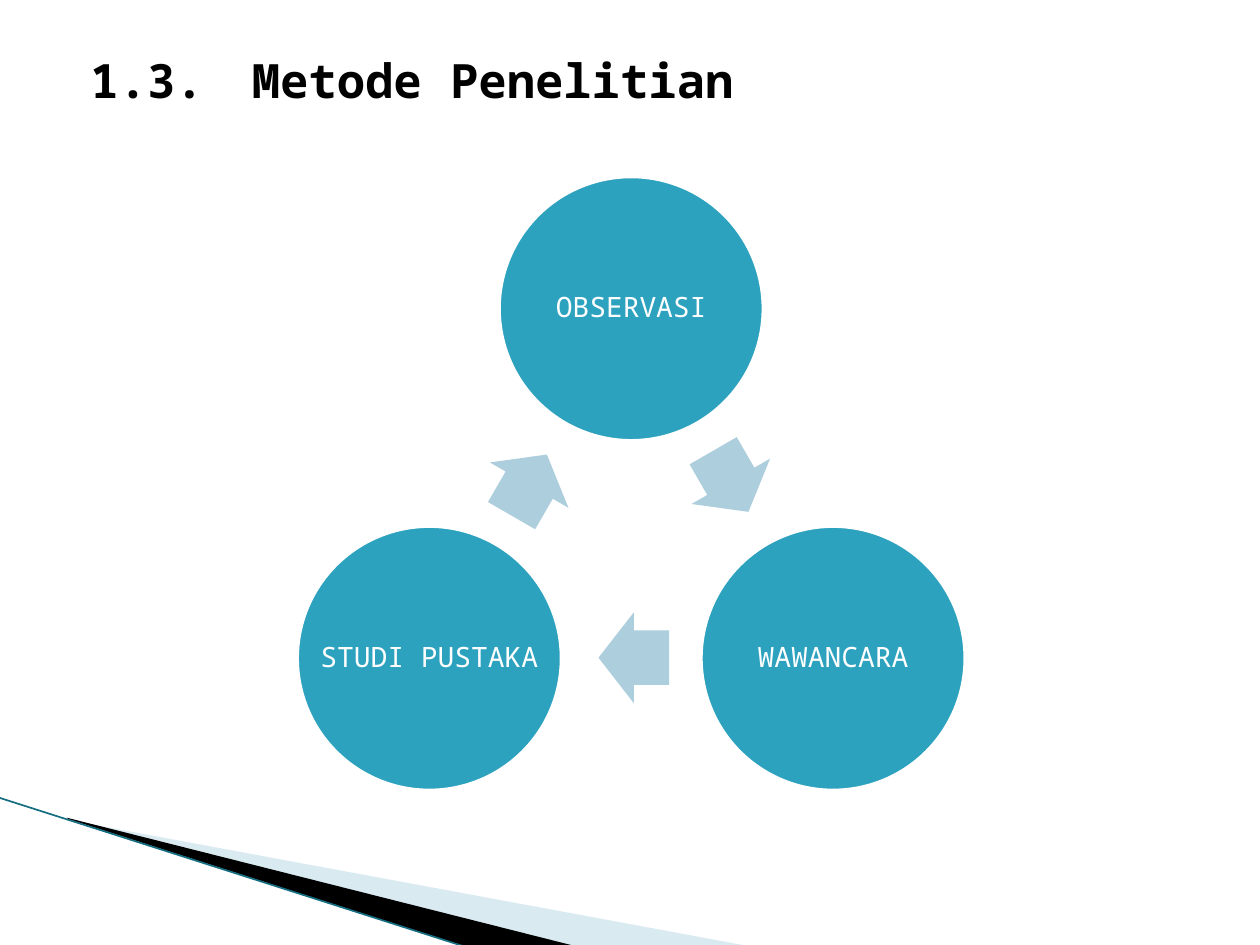
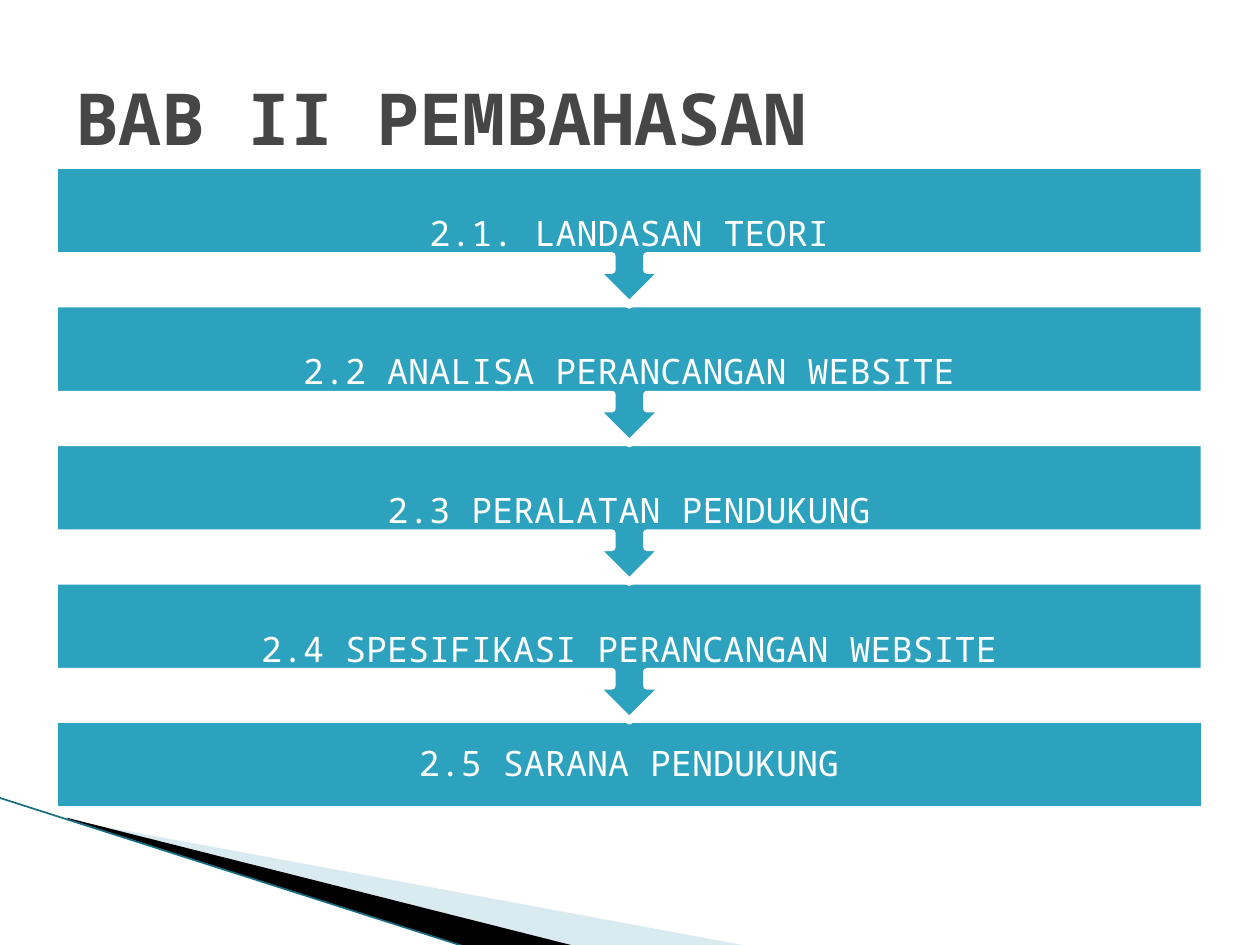
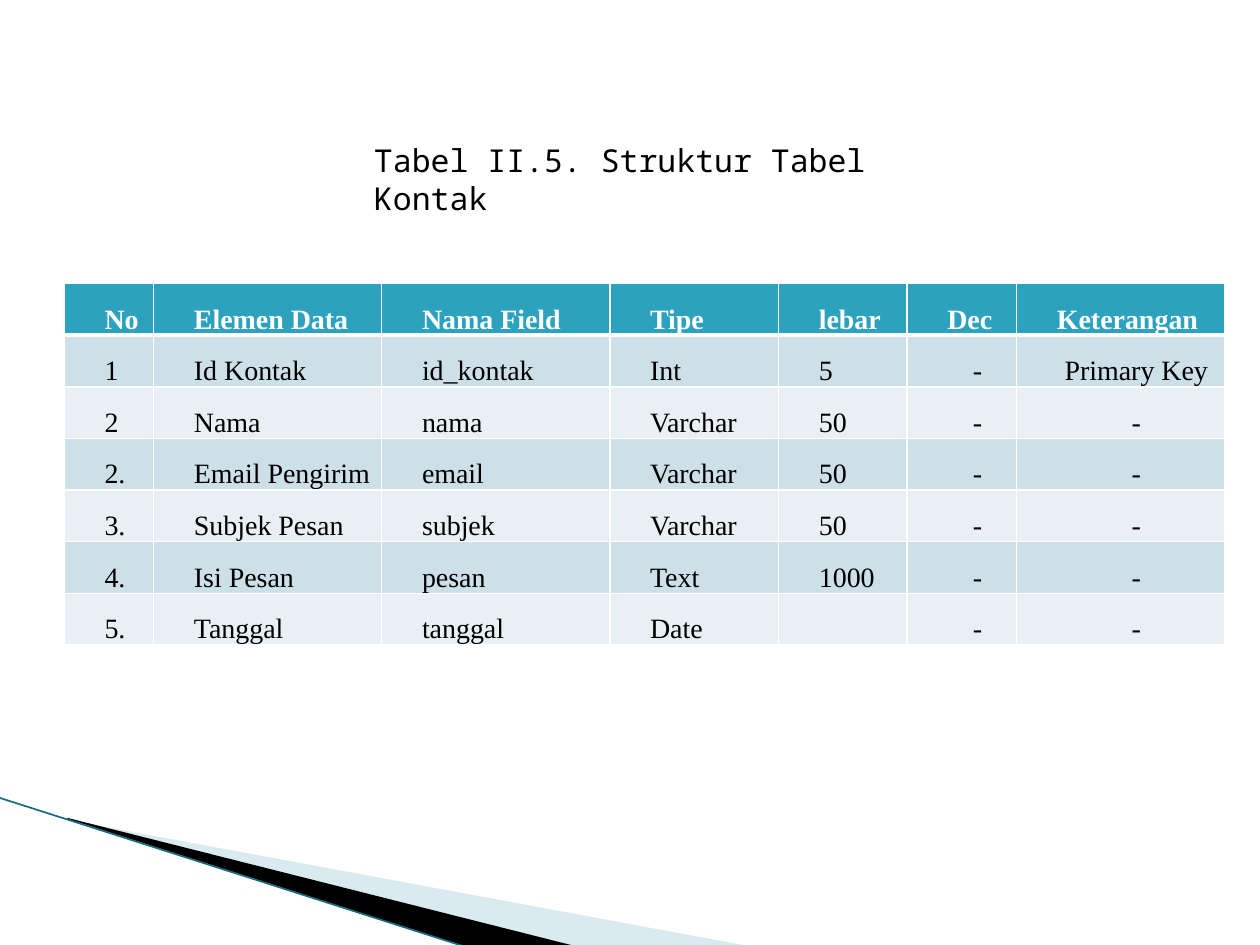
import math

import pptx
import pptx.dml.color
import pptx.enum.shapes
import pptx.enum.text
import pptx.oxml.ns
import pptx.oxml.xmlchemy
import pptx.util
from lxml import etree

Inches = pptx.util.Inches
Pt = pptx.util.Pt
SHAPES = pptx.enum.shapes.MSO_SHAPE
ALIGN = pptx.enum.text.PP_ALIGN
ANCHOR = pptx.enum.text.MSO_ANCHOR
qn = pptx.oxml.ns.qn

MONO = "Noto Sans Mono"
SERIF = "Times New Roman"
TEAL = "2DA2BF"
PALE_TEAL = "ADCEDC"
SWOOSH = "A0CBDC"
SWOOSH_LINE = "146D80"
WHITE = "FFFFFF"
BLACK = "000000"
TITLE_GRAY = "464646"
BAND_FILLS = ["CDE0E8", "E8F0F4"]

METHODS = ["OBSERVASI", "WAWANCARA", "STUDI PUSTAKA"]
TOPICS = [
    "2.1. LANDASAN TEORI",
    "2.2 ANALISA PERANCANGAN WEBSITE",
    "2.3 PERALATAN PENDUKUNG",
    "2.4 SPESIFIKASI PERANCANGAN WEBSITE",
    "2.5 SARANA PENDUKUNG",
]
CONTACT_ROWS = [
    ["No", "Elemen Data", "Nama Field", "Tipe", "lebar", "Dec", "Keterangan"],
    ["1", "Id Kontak", "id_kontak", "Int", "5", "-", "Primary Key"],
    ["2", "Nama", "nama", "Varchar", "50", "-", "-"],
    ["2.", "Email Pengirim", "email", "Varchar", "50", "-", "-"],
    ["3.", "Subjek Pesan", "subjek", "Varchar", "50", "-", "-"],
    ["4.", "Isi Pesan", "pesan", "Text", "1000", "-", "-"],
    ["5.", "Tanggal", "tanggal", "Date", "", "-", "-"],
]
CONTACT_WIDTHS = [0.71, 1.81, 1.81, 1.34, 1.02, 0.87, 1.65]
ROW_HEIGHT = 0.41
CENTERED_FROM = 5


def color(value):
    return pptx.dml.color.RGBColor.from_string(value)


def apply_format(target, values):
    for name, value in values.items():
        setattr(target, name, value)


def box(left, top, width, height):
    return [Inches(value) for value in (left, top, width, height)]


def write(paragraph, text, size, font_color, name=MONO, bold=False):
    run = paragraph.add_run()
    run.text = text
    apply_format(run.font, {"size": Pt(size), "name": name, "bold": bold})
    run.font.color.rgb = color(font_color)


def set_indent(paragraph, left, first=0):
    properties = paragraph._p.get_or_add_pPr()
    properties.set("marL", str(Inches(left)))
    properties.set("indent", str(Inches(first)))


def add_text(slide, place, text, size, font_color, bold=False, frame_format=None,
             paragraph_format=None):
    shape = slide.shapes.add_textbox(*box(*place))
    apply_format(shape.text_frame, {"word_wrap": True, **(frame_format or {})})
    paragraph = shape.text_frame.paragraphs[0]
    apply_format(paragraph, paragraph_format or {})
    write(paragraph, text, size, font_color, bold=bold)
    return paragraph


def add_label(slide, place, text, size, inset):
    sides = ("margin_left", "margin_top", "margin_right", "margin_bottom")
    frame_format = {side: Inches(inset) for side in sides}
    frame_format["vertical_anchor"] = ANCHOR.MIDDLE
    add_text(slide, place, text, size, WHITE, frame_format=frame_format,
             paragraph_format={"alignment": ALIGN.CENTER, "line_spacing": 0.9})


def paint(shape, fill, outline=None):
    shape.shadow.inherit = False
    shape.fill.solid()
    shape.fill.fore_color.rgb = color(fill)
    if outline:
        shape.line.color.rgb = color(outline)
        shape.line.width = Pt(4.33)
    else:
        shape.line.fill.background()


def add_preset(slide, kind, place, fill, outline=None, rotation=0):
    shape = slide.shapes.add_shape(kind, *box(*place))
    shape.rotation = rotation
    paint(shape, fill, outline)
    return shape


def add_polygon(slide, points, fill):
    corners = [(Inches(x), Inches(y)) for x, y in points]
    builder = slide.shapes.build_freeform(*corners[0])
    builder.add_line_segments(corners[1:])
    shape = builder.convert_to_shape()
    paint(shape, fill)
    return shape


def add_swoosh(slide):
    pale = add_polygon(slide, [(0.55, 6.51), (5.95, 7.51), (4.56, 7.51), (0.55, 6.5)], SWOOSH)
    fill_color = pale.element.spPr.find(".//" + qn("a:srgbClr"))
    etree.SubElement(fill_color, qn("a:alpha"), val="40000")
    add_polygon(slide, [(0.53, 6.49), (4.57, 7.51), (3.72, 7.52), (0.54, 6.5)], BLACK)
    edge = slide.shapes.add_connector(
        pptx.enum.shapes.MSO_CONNECTOR.STRAIGHT, *box(-0.01, 6.33, 3.71, 7.52))
    edge.line.color.rgb = color(SWOOSH_LINE)
    edge.line.width = Pt(0.95)
    etree.SubElement(edge.element.spPr, qn("a:effectLst"))


def add_slide(presentation):
    slide = presentation.slides.add_slide(presentation.slide_layouts[6])
    add_swoosh(slide)
    return slide


def add_cycle(slide):
    diameter, center_x, center_y, radius = 2.13, 5.01, 4.3, 1.85
    arrow_width, arrow_height = 0.56, 0.72
    arrow_centers = [(5.8, 3.82), (5.03, 5.22), (4.2, 3.85)]
    for index, method in enumerate(METHODS):
        angle = math.radians(120 * index - 90)
        left = center_x + radius * math.cos(angle) - diameter / 2
        top = center_y + radius * math.sin(angle) - diameter / 2
        place = (left, top, diameter, diameter)
        add_preset(slide, SHAPES.OVAL, place, TEAL, WHITE)
        add_label(slide, place, method, 16, 0.02)
        x, y = arrow_centers[index]
        arrow_place = (x - arrow_width / 2, y - arrow_height / 2, arrow_width, arrow_height)
        arrow = add_preset(slide, SHAPES.RIGHT_ARROW, arrow_place, PALE_TEAL,
                           rotation=60 + 120 * index)
        arrow.adjustments[0] = 0.6


def add_topic_flow(slide):
    last = len(TOPICS) - 1
    for index in range(last, -1, -1):
        top = 1.31 + 1.1 * index
        if index == last:
            kind, height, rotation = SHAPES.RECTANGLE, 0.72, 0
        else:
            kind, height, rotation = SHAPES.UP_ARROW_CALLOUT, 1.11, 180
        place = (0.43, top, 9.13, height)
        add_preset(slide, kind, place, TEAL, WHITE, rotation)
        add_label(slide, place, TOPICS[index], 20, 0.16)


def set_borders(cell, widths):
    properties = cell._tc.get_or_add_tcPr()
    for side, width in widths.items():
        border = etree.SubElement(properties, qn("a:ln" + side), w=str(Pt(width)))
        fill = etree.SubElement(border, qn("a:solidFill"))
        etree.SubElement(fill, qn("a:srgbClr"), val=WHITE)


def fill_cell(cell, text, row, column):
    header = row == 0
    set_borders(cell, {"L": 1, "R": 1, "T": 3 if row == 1 else 1, "B": 3 if header else 1})
    cell.fill.solid()
    cell.fill.fore_color.rgb = color(TEAL if header else BAND_FILLS[(row - 1) % 2])
    apply_format(cell, {
        "vertical_anchor": ANCHOR.BOTTOM,
        "margin_left": Inches(0.07),
        "margin_right": Inches(0.07),
        "margin_top": 0,
        "margin_bottom": 0,
    })
    if text:
        paragraph = cell.text_frame.paragraphs[0]
        centered = not header and column >= CENTERED_FROM
        apply_format(paragraph, {
            "line_spacing": 1.5,
            "alignment": ALIGN.CENTER if centered else ALIGN.LEFT,
        })
        set_indent(paragraph, 0.25)
        write(paragraph, text, 16, WHITE if header else BLACK, SERIF, header)


def add_contact_table(slide):
    place = box(0.51, 2.25, sum(CONTACT_WIDTHS), ROW_HEIGHT * len(CONTACT_ROWS))
    table = slide.shapes.add_table(len(CONTACT_ROWS), len(CONTACT_WIDTHS), *place).table
    for column, width in zip(table.columns, CONTACT_WIDTHS):
        column.width = Inches(width)
    for row, texts in enumerate(CONTACT_ROWS):
        table.rows[row].height = Inches(ROW_HEIGHT)
        for column, text in enumerate(texts):
            fill_cell(table.cell(row, column), text, row, column)


def main():
    presentation = pptx.Presentation()
    presentation.slide_width = Inches(10)
    presentation.slide_height = Inches(7.5)

    methods_slide = add_slide(presentation)
    heading = add_text(methods_slide, (0.5, 0.36, 9, 0.6), "1.3.\tMetode Penelitian", 27,
                       BLACK, bold=True, paragraph_format={"space_before": Pt(4)})
    set_indent(heading, 0.4, -0.28)
    add_cycle(methods_slide)

    topics_slide = add_slide(presentation)
    add_text(topics_slide, (0.5, 0.3, 9, 1.25), "BAB II PEMBAHASAN", 41, TITLE_GRAY, bold=True,
             frame_format={"vertical_anchor": ANCHOR.MIDDLE})
    add_topic_flow(topics_slide)

    contact_slide = add_slide(presentation)
    add_contact_table(contact_slide)
    add_text(contact_slide, (2.87, 1.07, 4.33, 0.4), "Tabel II.5. Struktur Tabel Kontak", 18,
             BLACK)

    presentation.save("out.pptx")


if __name__ == "__main__":
    main()
